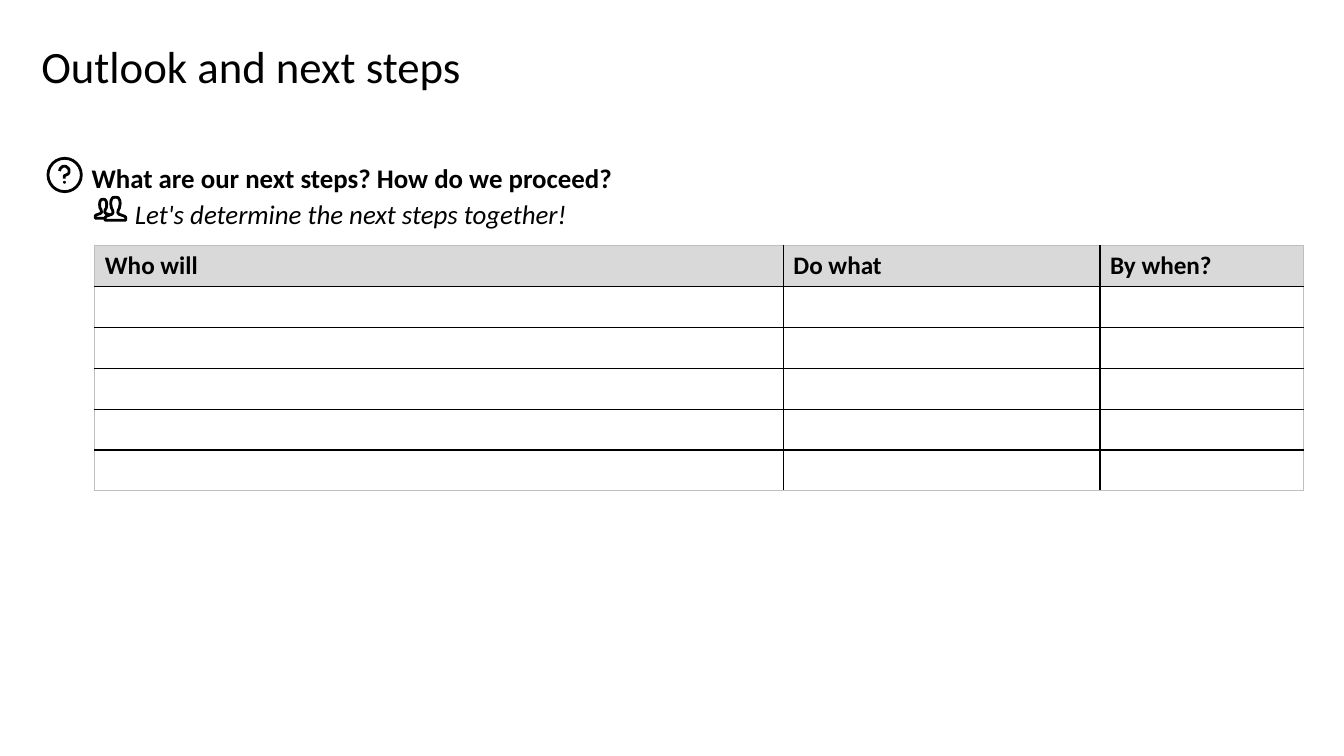
"""Build the "Outlook and next steps" slide with its empty action table."""
from math import cos, radians, sin

from lxml.etree import SubElement
from pptx import Presentation
from pptx.dml.color import RGBColor as Rgb
from pptx.enum.shapes import MSO_SHAPE as Shape
from pptx.enum.text import MSO_ANCHOR as Anchor, MSO_AUTO_SIZE as AutoSize, PP_ALIGN as Align
from pptx.oxml.ns import qn
from pptx.util import Cm, Pt

TITLE = "Outlook and next steps"
QUESTION = "What are our next steps? How do we proceed?"
INVITATION = "Let's determine the next steps together!"
COLUMNS = [("Who will", 17.35), ("Do what", 7.98), ("By when?", 5.13)]
EMPTY_ROWS = 5
ROW_HEIGHT = 1.03

FONT = "Calibri"
COLORS = {"ink": "000000", "paper": "FFFFFF", "header": "D9D9D9", "frame": "BFBFBF"}

UNIT = Cm(0.01)
HALF_PERSON = [(0, 0), (0.25, 0.02), (0.42, 0.13), (0.45, 0.28), (0.4, 0.46),
               (0.25, 0.57), (0.22, 0.68), (0.35, 0.74), (0.9, 0.83), (1, 0.88), (1, 1)]
PEOPLE = [(260, 502, 20, 48), (291, 497, 26, 58)]
HOOK_CENTER, HOOK_RADIUS = (162.5, 431), 12


def color(name):
    return Rgb.from_string(COLORS[name])


def write(holder, text, size, bold=False, italic=False, spacing=None):
    frame = holder.text_frame
    frame.text = text
    paragraph = frame.paragraphs[0]
    paragraph.alignment = Align.LEFT
    if spacing:
        paragraph.line_spacing = spacing
        paragraph.space_before = Pt(0)
    font = paragraph.runs[0].font
    font.name, font.size, font.bold, font.italic = FONT, Pt(size), bold, italic
    font.color.rgb = color("ink")
    return paragraph


def place(box, left, top, width, height, inset=(0, 0)):
    box.left, box.top, box.width, box.height = Cm(left), Cm(top), Cm(width), Cm(height)
    frame = box.text_frame
    frame.word_wrap, frame.auto_size = True, AutoSize.NONE
    frame.vertical_anchor = Anchor.TOP
    frame.margin_left = frame.margin_right = Cm(inset[0])
    frame.margin_top = frame.margin_bottom = Cm(inset[1])


def style(shape, fill, weight):
    shape.shadow.inherit = False
    if fill:
        shape.fill.solid()
        shape.fill.fore_color.rgb = color(fill)
    else:
        shape.fill.background()
    shape.line.color.rgb = color("ink")
    shape.line.width = Pt(weight)


def outline(shapes, points, closed, fill, weight):
    builder = shapes.build_freeform(*points[0], scale=UNIT)
    builder.add_line_segments(points[1:], close=closed)
    style(builder.convert_to_shape(), fill, weight)


def draw_question_icon(shapes):
    ring = shapes.add_shape(Shape.OVAL, Cm(1.21), Cm(3.99), Cm(0.84), Cm(0.84))
    style(ring, "paper", 2)
    x, y = HOOK_CENTER
    hook = [(x + HOOK_RADIUS * cos(radians(a)), y + HOOK_RADIUS * sin(radians(a)))
            for a in range(180, 406, 15)]
    outline(shapes, hook + [(x, 443), (x, 450)], False, None, 2)
    dot = shapes.add_shape(Shape.OVAL, Cm(1.6), Cm(4.57), Cm(0.05), Cm(0.05))
    style(dot, "ink", 0.5)


def draw_people_icon(shapes):
    profile = HALF_PERSON + [(-x, y) for x, y in reversed(HALF_PERSON[1:])]
    for axis, top, half_width, height in PEOPLE:
        body = [(axis + x * half_width, top + y * height) for x, y in profile]
        outline(shapes, body, True, "paper", 2)


def set_borders(cell, edges):
    properties = cell._tc.get_or_add_tcPr()
    for position, (side, name) in enumerate(edges.items()):
        line = SubElement(properties, qn(f"a:ln{side}"), w=str(Pt(1)))
        fill = SubElement(line, qn("a:solidFill"))
        SubElement(fill, qn("a:srgbClr"), val=COLORS[name])
        properties.insert(position, line)


def add_action_table(shapes):
    rows, columns = EMPTY_ROWS + 1, len(COLUMNS)
    total = sum(width for _, width in COLUMNS)
    table = shapes.add_table(rows, columns, Cm(2.39), Cm(6.19),
                             Cm(total), Cm(rows * ROW_HEIGHT)).table
    table.first_row = table.horz_banding = False
    for row in table.rows:
        row.height = Cm(ROW_HEIGHT)
    for c, (heading, width) in enumerate(COLUMNS):
        table.columns[c].width = Cm(width)
        write(table.cell(0, c), heading, 18, bold=True)
        for r in range(rows):
            cell = table.cell(r, c)
            cell.fill.solid()
            cell.fill.fore_color.rgb = color("paper" if r else "header")
            outer = {"L": c == 0, "R": c == columns - 1, "T": r == 0, "B": r == rows - 1}
            set_borders(cell, {side: "frame" if edge else "ink" for side, edge in outer.items()})


def main():
    deck = Presentation()
    deck.slide_width, deck.slide_height = Cm(33.87), Cm(19.05)
    slide = deck.slides.add_slide(deck.slide_layouts[1])
    shapes = slide.shapes

    place(shapes.title, 1.04, 1.12, 31.8, 1.8)
    write(shapes.title, TITLE, 32, spacing=0.9)

    question = slide.placeholders[1]
    place(question, 2.06, 3.89, 30.23, 1.8, inset=(0.25, 0.13))
    properties = write(question, QUESTION, 19.2, bold=True, spacing=1.06)._p.get_or_add_pPr()
    properties.set("marL", "0")
    properties.set("indent", "0")
    SubElement(properties, qn("a:buNone"))

    draw_question_icon(shapes)
    add_action_table(shapes)
    draw_people_icon(shapes)

    invitation = shapes.add_textbox(0, 0, 0, 0)
    place(invitation, 3.4, 4.94, 20.29, 0.74)
    write(invitation, INVITATION, 19.2, italic=True, spacing=1.06)
    deck.save("out.pptx")


if __name__ == "__main__":
    main()
